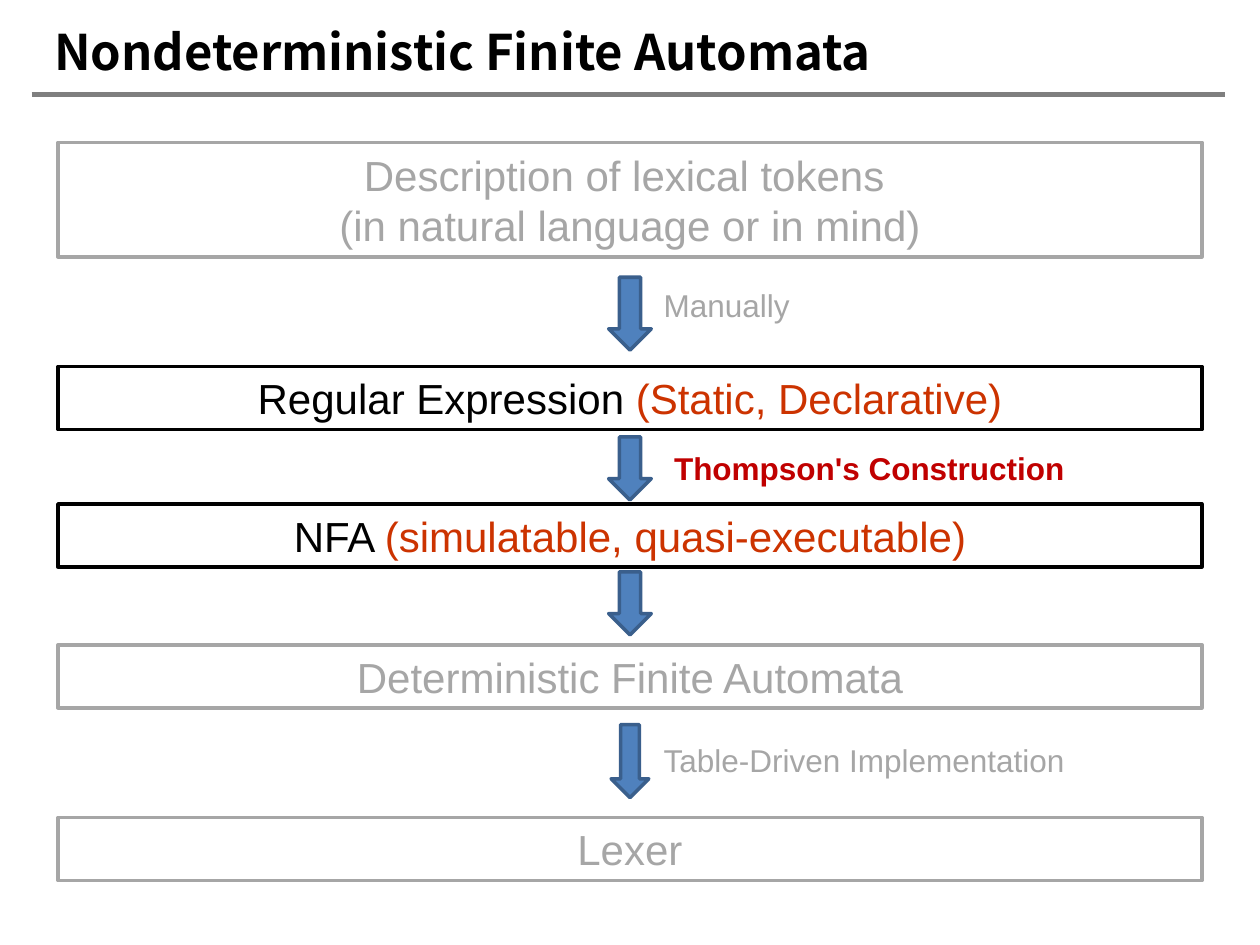
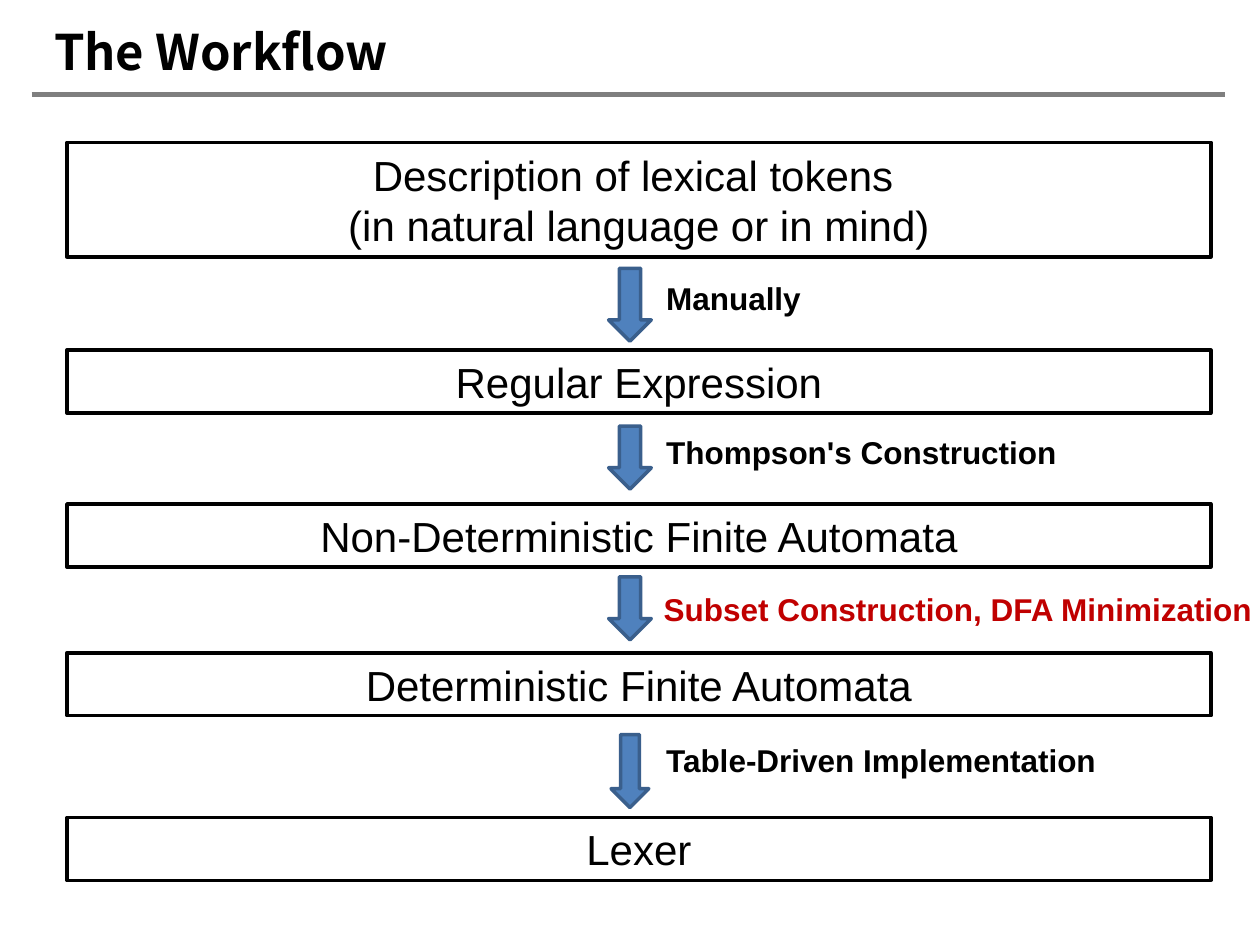
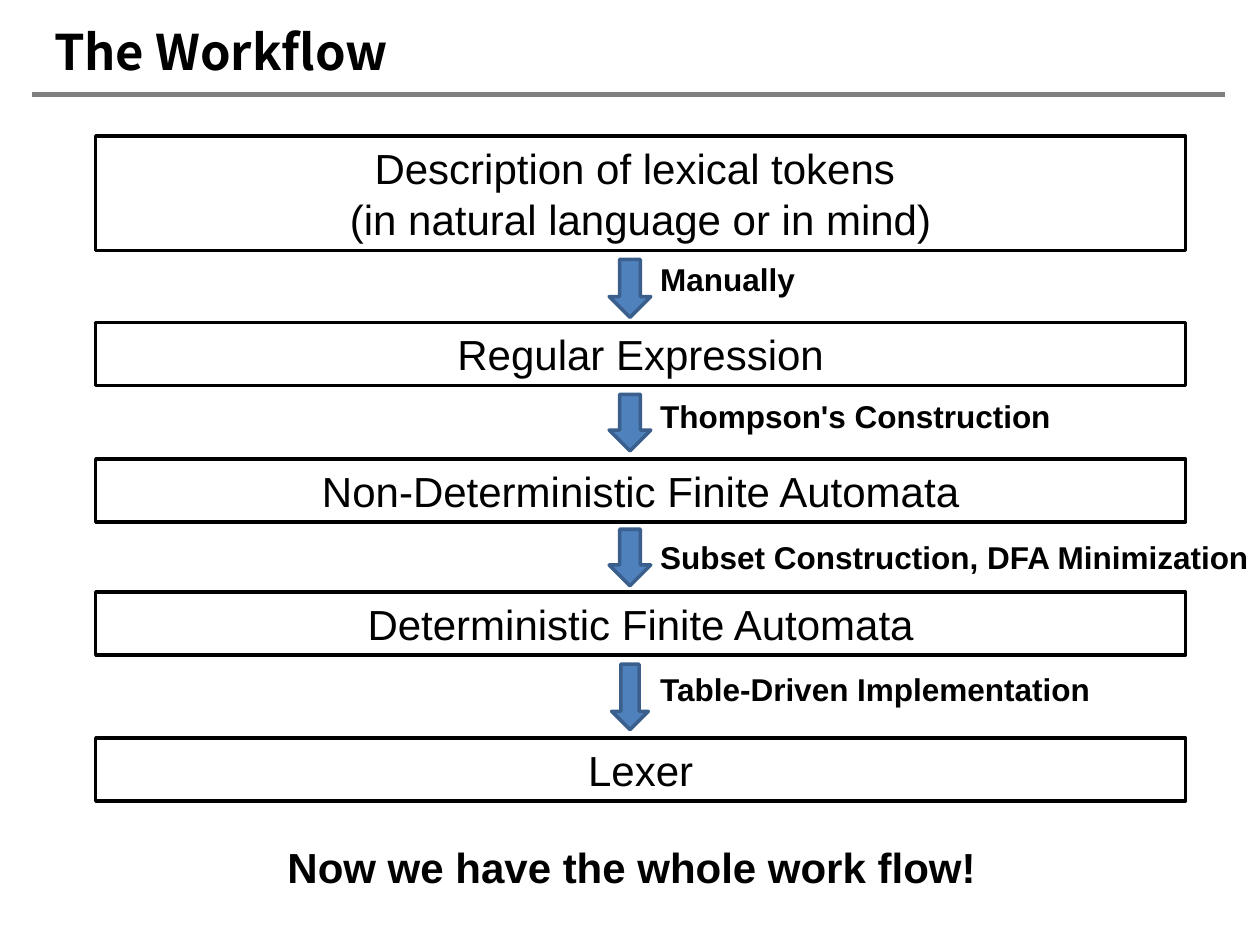
"""Build three slides that show the path from lexical tokens to a lexer."""
from dataclasses import dataclass
from typing import Any

from lxml.etree import SubElement
from pptx import Presentation
from pptx.dml.color import RGBColor
from pptx.enum.shapes import MSO_CONNECTOR as Link, MSO_SHAPE as Kind
from pptx.enum.text import MSO_ANCHOR as Anchor, MSO_AUTO_SIZE as Fit, PP_ALIGN as Align
from pptx.oxml.ns import qn
from pptx.util import Cm, Pt

BLACK = RGBColor(0x00, 0x00, 0x00)
PALE = RGBColor(0xA6, 0xA6, 0xA6)
GRAY = RGBColor(0x7F, 0x7F, 0x7F)
RED = RGBColor(0xC0, 0x00, 0x00)
RUST = RGBColor(0xCC, 0x33, 0x00)
BLUE = RGBColor(0x4F, 0x81, 0xBD)
NAVY = RGBColor(0x3A, 0x5F, 0x8C)

HEAD_FONT = "Noto Sans CJK SC"
BODY_FONT = "Arial"
MID = 12.7
ROW = 1.27

TOKENS = "Description of lexical tokens \n(in natural language or in mind)"
REGEX = "Regular Expression"
NFA = "Non-Deterministic Finite Automata"
DFA = "Deterministic Finite Automata"
LEXER = "Lexer"
HAND = "Manually"
THOMPSON = "Thompson's Construction"
SUBSET = "Subset Construction, DFA Minimization"
TABLE = "Table-Driven Implementation"


@dataclass(frozen=True)
class Stage:
    """A framed step of the flow, with an optional remark."""
    text: str
    top: float
    tone: RGBColor = BLACK
    hint: str = ""


@dataclass(frozen=True)
class Arrow:
    """A block arrow centred on the slide."""
    top: float
    width: float
    height: float


@dataclass(frozen=True)
class Note:
    """A line of free text."""
    text: str
    left: float
    top: float
    width: float
    tone: RGBColor = BLACK
    bold: bool = True
    size: int = 18
    height: float = 1.02
    align: Align = Align.LEFT


@dataclass(frozen=True)
class Flow:
    """The content of one slide."""
    title: str
    left: float
    width: float
    stages: tuple[Stage, ...]
    arrows: tuple[Arrow, ...]
    notes: tuple[Note, ...]


FLOWS = (
    Flow(
        "Nondeterministic Finite Automata", 1.17, 23.06,
        (
            Stage(TOKENS, 2.87, PALE),
            Stage(REGEX + " ", 7.39, hint="(Static, Declarative)"),
            Stage("NFA ", 10.16, hint="(simulatable, quasi-executable)"),
            Stage(DFA, 13, PALE),
            Stage(LEXER, 16.48, PALE),
        ),
        (
            Arrow(5.59, 0.86, 1.47),
            Arrow(8.81, 0.86, 1.27),
            Arrow(11.53, 0.86, 1.27),
            Arrow(14.61, 0.76, 1.47),
        ),
        (
            Note(HAND, 13.13, 5.64, 3.56, PALE, False),
            Note(THOMPSON, 13.34, 8.92, 8.46, RED),
            Note(TABLE, 13.13, 14.81, 9.73, PALE, False),
        ),
    ),
    Flow(
        "The Workflow", 1.35, 23.06,
        (
            Stage(TOKENS, 2.87),
            Stage(REGEX, 7.06),
            Stage(NFA, 10.16),
            Stage(DFA, 13.16),
            Stage(LEXER, 16.48),
        ),
        (
            Arrow(5.41, 0.86, 1.47),
            Arrow(8.59, 0.86, 1.27),
            Arrow(11.63, 0.86, 1.27),
            Arrow(14.81, 0.76, 1.47),
        ),
        (
            Note(HAND, 13.18, 5.51, 3.56),
            Note(THOMPSON, 13.18, 8.61, 8.46),
            Note(SUBSET, 13.13, 11.76, 12.47, RED),
            Note(TABLE, 13.18, 14.81, 9.73),
        ),
    ),
    Flow(
        "The Workflow", 1.93, 21.97,
        (
            Stage(TOKENS, 2.74),
            Stage(REGEX, 6.5),
            Stage(NFA, 9.25),
            Stage(DFA, 11.94),
            Stage(LEXER, 14.88),
        ),
        (
            Arrow(5.23, 0.84, 1.17),
            Arrow(7.95, 0.84, 1.14),
            Arrow(10.67, 0.84, 1.14),
            Arrow(13.39, 0.74, 1.32),
        ),
        (
            Note(HAND, 13.06, 5.11, 3.38),
            Note(THOMPSON, 13.06, 7.87, 8.76),
            Note(SUBSET, 13.06, 10.72, 12.75),
            Note(TABLE, 13.06, 13.39, 9.27, height=1.8),
            Note("Now we have the whole work flow!", 3.35, 16.84, 18.77,
                 size=24, height=ROW, align=Align.CENTER),
        ),
    ),
)


def style(run: Any, size: int, tone: RGBColor, bold: bool = False, face: str = BODY_FONT) -> None:
    """Set the font of one run."""
    font = run.font
    font.name, font.size, font.bold = face, Pt(size), bold
    font.color.rgb = tone


def edge(shape: Any, tone: RGBColor, width: float = 2) -> None:
    """Set the outline of a shape."""
    shape.line.color.rgb = tone
    shape.line.width = Pt(width)


def add_rule(slide: Any) -> None:
    """Place the rule below the title on the layout of the slide."""
    rule = slide.shapes.add_connector(Link.STRAIGHT, Cm(0.64), Cm(1.91), Cm(24.69), Cm(1.91))
    edge(rule, GRAY, 3)
    SubElement(rule.element.spPr, qn("a:effectLst"))
    slide.slide_layout.shapes.element.append(rule.element)


def set_title(slide: Any, text: str) -> None:
    """Move, fill and format the title."""
    title = slide.shapes.title
    title.left, title.top, title.width, title.height = Cm(1.09), Cm(0.43), Cm(17.32), Cm(1.19)
    frame = title.text_frame
    frame.text = text
    frame.auto_size = Fit.NONE
    frame.vertical_anchor = Anchor.MIDDLE
    frame.margin_left = frame.margin_top = frame.margin_right = frame.margin_bottom = 0
    line = frame.paragraphs[0]
    line.alignment = Align.LEFT
    style(line.runs[0], 28, BLACK, True, HEAD_FONT)


def add_stage(slide: Any, stage: Stage, left: float, width: float) -> None:
    """Draw one framed step."""
    height = 2.31 if "\n" in stage.text else ROW
    box = slide.shapes.add_shape(Kind.RECTANGLE, Cm(left), Cm(stage.top), Cm(width), Cm(height))
    box.shadow.inherit = False
    box.fill.background()
    edge(box, stage.tone)
    frame = box.text_frame
    frame.text = stage.text
    frame.vertical_anchor = Anchor.MIDDLE
    for line in frame.paragraphs:
        line.alignment = Align.CENTER
        style(line.runs[0], 24, stage.tone)
    if stage.hint:
        run = frame.paragraphs[0].add_run()
        run.text = stage.hint
        style(run, 24, RUST)


def add_arrow(slide: Any, arrow: Arrow) -> None:
    """Draw one arrow between two steps."""
    shape = slide.shapes.add_shape(Kind.DOWN_ARROW, Cm(MID - arrow.width / 2), Cm(arrow.top),
                                   Cm(arrow.width), Cm(arrow.height))
    shape.shadow.inherit = False
    shape.fill.solid()
    shape.fill.fore_color.rgb = BLUE
    edge(shape, NAVY)


def add_note(slide: Any, note: Note) -> None:
    """Write one line of free text."""
    box = slide.shapes.add_textbox(Cm(note.left), Cm(note.top), Cm(note.width), Cm(note.height))
    frame = box.text_frame
    frame.word_wrap = True
    frame.text = note.text
    line = frame.paragraphs[0]
    line.alignment = note.align
    style(line.runs[0], note.size, note.tone, note.bold)


def add_flow(slide: Any, flow: Flow) -> None:
    """Fill one slide."""
    set_title(slide, flow.title)
    for stage in flow.stages:
        add_stage(slide, stage, flow.left, flow.width)
    for arrow in flow.arrows:
        add_arrow(slide, arrow)
    for note in flow.notes:
        add_note(slide, note)


def main() -> None:
    """Build and save the deck."""
    deck = Presentation()
    deck.slide_width, deck.slide_height = Cm(25.4), Cm(19.05)
    layout = deck.slide_layouts.get_by_name("Title Only")
    slides = [deck.slides.add_slide(layout) for _ in FLOWS]
    add_rule(slides[0])
    for slide, flow in zip(slides, FLOWS):
        add_flow(slide, flow)
    deck.save("out.pptx")


if __name__ == "__main__":
    main()
